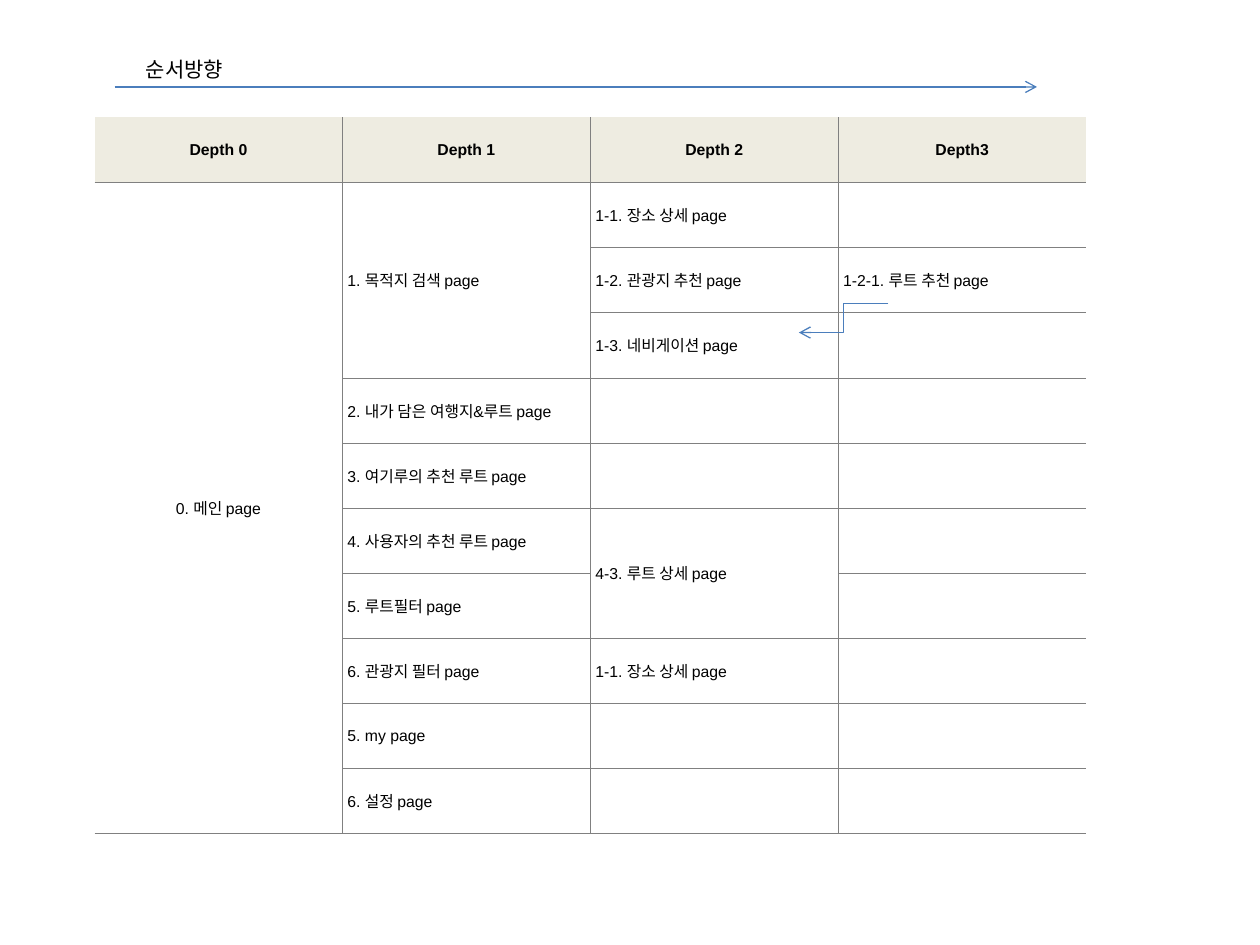
from pptx import Presentation
from pptx.dml.color import RGBColor
from pptx.enum.shapes import MSO_CONNECTOR
from pptx.enum.text import MSO_ANCHOR, MSO_AUTO_SIZE, PP_ALIGN
from pptx.oxml.ns import qn
from pptx.util import Inches, Pt
from lxml.etree import SubElement

BLACK = RGBColor(0x00, 0x00, 0x00)
GREY = RGBColor(0x80, 0x80, 0x80)
BLUE = RGBColor(0x4B, 0x7E, 0xBC)
BEIGE = RGBColor(0xEE, 0xEC, 0xE1)
KOREAN_FONT = "Noto Sans CJK KR"
NO_STYLE = "{2D5ABB26-0587-4C30-8999-92F81FD0307C}"

HEADERS = ["Depth 0", "Depth 1", "Depth 2", "Depth3"]
PAGES = [
    ["0. 메인 page", "1. 목적지 검색 page", "1-1. 장소 상세 page", ""],
    ["", "", "1-2. 관광지 추천 page", "1-2-1. 루트 추천 page"],
    ["", "", "1-3. 네비게이션 page", ""],
    ["", "2. 내가 담은 여행지&루트 page", "", ""],
    ["", "3. 여기루의 추천 루트 page", "", ""],
    ["", "4. 사용자의 추천 루트 page", "4-3. 루트 상세 page", ""],
    ["", "5. 루트필터 page", "", ""],
    ["", "6. 관광지 필터 page", "1-1. 장소 상세 page", ""],
    ["", "5. my page", "", ""],
    ["", "6. 설정 page", "", ""],
]
MERGES = [(1, 10, 0), (1, 3, 1), (6, 7, 2)]  # first row, last row, column


def write_text(frame, text, font="Arial", size=9, bold=False, align=PP_ALIGN.LEFT, space_after=0):
    """Write one formatted paragraph into a text frame."""
    paragraph = frame.paragraphs[0]
    paragraph.alignment = align
    paragraph.space_after = Pt(space_after)
    run = paragraph.add_run()
    run.text = text
    run.font.name = font
    run.font.size = Pt(size)
    run.font.bold = bold
    run.font.color.rgb = BLACK
    SubElement(run.font._element, qn("a:ea"), typeface=KOREAN_FONT)


def add_border(cell, side, visible):
    """Draw one side of a cell (L, R, T or B), or leave it without a line."""
    properties = cell._tc.get_or_add_tcPr()
    line = SubElement(properties, qn(f"a:ln{side}"), w=str(Pt(0.25)))
    if visible:
        fill = SubElement(line, qn("a:solidFill"))
        SubElement(fill, qn("a:srgbClr"), val=str(GREY))
    else:
        SubElement(line, qn("a:noFill"))


presentation = Presentation()
presentation.slide_width = Inches(10)
presentation.slide_height = Inches(7.5)
slide = presentation.slides.add_slide(presentation.slide_layouts[6])

# Page depth table
rows = [HEADERS] + PAGES
row_count, column_count = len(rows), len(HEADERS)
table_shape = slide.shapes.add_table(
    row_count, column_count, Inches(0.75), Inches(0.93), Inches(7.87), Inches(5.69))
table = table_shape.table
table.first_row = False
table.horz_banding = False
table._tbl.tblPr.find(qn("a:tableStyleId")).text = NO_STYLE
for first, last, column in MERGES:
    table.cell(first, column).merge(table.cell(last, column))

for row, texts in enumerate(rows):
    for column, text in enumerate(texts):
        cell = table.cell(row, column)
        is_header = row == 0
        below_joined = row + 1 < row_count and table.cell(row + 1, column).is_spanned
        add_border(cell, "L", column > 0)
        add_border(cell, "R", column < column_count - 1)
        add_border(cell, "T", row > 0 and not cell.is_spanned)
        add_border(cell, "B", cell.is_merge_origin or not below_joined)
        if is_header:
            cell.fill.solid()
            cell.fill.fore_color.rgb = BEIGE
        else:
            cell.fill.background()
        cell.vertical_anchor = MSO_ANCHOR.MIDDLE
        cell.margin_left = cell.margin_right = Inches(0.04)
        cell.margin_top = cell.margin_bottom = Inches(0.08)
        if text:
            centred = is_header or column == 0
            write_text(cell.text_frame, text, bold=is_header,
                       align=PP_ALIGN.CENTER if centred else PP_ALIGN.LEFT,
                       space_after=6 if column == 1 and row > 3 else 0)

# Arrows: route back to navigation, and reading direction
ARROWS = [
    (MSO_CONNECTOR.ELBOW, 7.05, 2.41, 6.34, 2.64),
    (MSO_CONNECTOR.STRAIGHT, 0.91, 0.69, 8.23, 0.69),
]
for kind, *ends in ARROWS:
    arrow = slide.shapes.add_connector(kind, *[Inches(value) for value in ends])
    arrow.line.color.rgb = BLUE
    arrow.line.width = Pt(0.75)
    SubElement(arrow.line._get_or_add_ln(), qn("a:tailEnd"), type="arrow")
    SubElement(arrow._element.spPr, qn("a:effectLst"))

# Direction label
label = slide.shapes.add_textbox(Inches(1.06), Inches(0.4), Inches(0.88), Inches(0.3))
label.text_frame.word_wrap = False
label.text_frame.auto_size = MSO_AUTO_SIZE.SHAPE_TO_FIT_TEXT
write_text(label.text_frame, "순서방향", font=KOREAN_FONT, size=12)

presentation.save("out.pptx")
